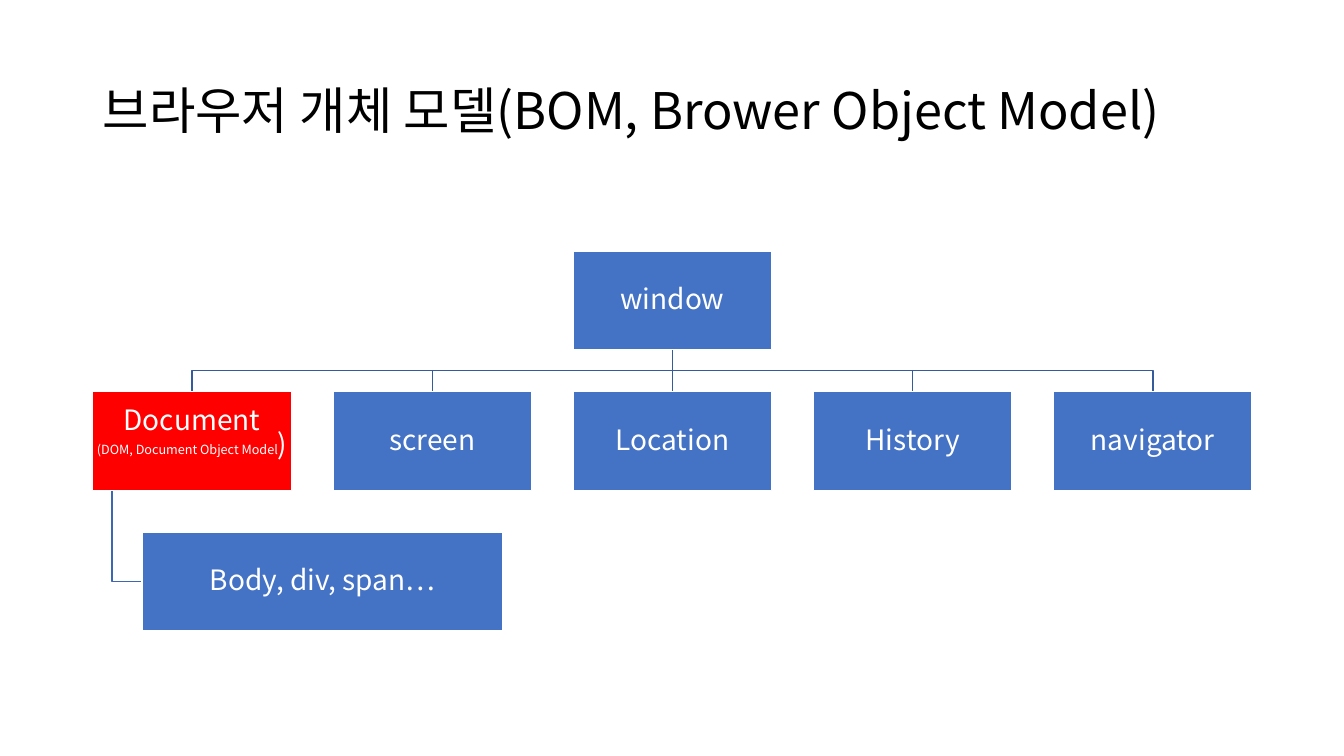
import pptx
import pptx.util
import pptx.dml.color
import pptx.enum.shapes
import pptx.enum.text
import pptx.oxml
import pptx.oxml.ns
from pptx.util import Inches

FONT = "Noto Sans CJK KR"
BLUE, RED, WHITE, LINE, SUBLINE = "4472C4", "FF0000", "FFFFFF", "365B9D", "3E67B2"
BOX_W, BOX_H = 1.97, 0.98
ROW_GAP = 0.415
ALIGN = pptx.enum.text.PP_ALIGN


def color(value):
    return pptx.dml.color.RGBColor.from_string(value)


def add_text(p, text, size=20, fill=WHITE, align=ALIGN.CENTER, spacing=0.9, after=0):
    p.alignment = align
    p.line_spacing = spacing
    p.space_after = pptx.util.Pt(after)
    r = p.add_run()
    r.text = text
    r.font.size = pptx.util.Pt(size)
    r.font.name = FONT
    r.font.color.rgb = color(fill)
    ea = pptx.oxml.parse_xml(
        '<a:ea %s typeface="%s"/>' % (pptx.oxml.ns.nsdecls("a"), FONT))
    r.font._element.append(ea)


def add_title(s, text, left, top, width, height):
    sp = s.shapes.title
    sp.left, sp.top, sp.width, sp.height = map(Inches, (left, top, width, height))
    tf = sp.text_frame
    tf.word_wrap = True
    tf.vertical_anchor = pptx.enum.text.MSO_ANCHOR.MIDDLE
    add_text(tf.paragraphs[0], text, size=36, fill="000000", align=ALIGN.LEFT)


def add_box(s, left, top, width=BOX_W, text=None, fill=BLUE):
    sp = s.shapes.add_shape(pptx.enum.shapes.MSO_SHAPE.RECTANGLE,
                            *map(Inches, (left, top, width, BOX_H)))
    sp.shadow.inherit = False
    sp.fill.solid()
    sp.fill.fore_color.rgb = color(fill)
    sp.line.color.rgb = color(WHITE)
    sp.line.width = pptx.util.Pt(1)
    tf = sp.text_frame
    tf.word_wrap = True
    tf.vertical_anchor = pptx.enum.text.MSO_ANCHOR.MIDDLE
    tf.margin_left = tf.margin_right = tf.margin_top = tf.margin_bottom = Inches(0.01)
    if text:
        add_text(tf.paragraphs[0], text)
    return tf


def add_link(s, points, line=LINE):
    """Straight connector for two points, open bent line for more."""
    pts = [(Inches(x), Inches(y)) for x, y in points]
    if len(pts) == 2:
        sp = s.shapes.add_connector(pptx.enum.shapes.MSO_CONNECTOR.STRAIGHT,
                                    *pts[0], *pts[1])
        sp._element.spPr.append(pptx.oxml.parse_xml(
            "<a:effectLst %s/>" % pptx.oxml.ns.nsdecls("a")))
    else:
        fb = s.shapes.build_freeform(*pts[0])
        fb.add_line_segments(pts[1:], close=False)
        sp = fb.convert_to_shape()
        sp.shadow.inherit = False
        sp.fill.background()
    sp.line.color.rgb = color(line)
    sp.line.width = pptx.util.Pt(1)


def add_tree(s, left, top, width):
    children = ["Document", "screen", "Location", "History", "navigator"]
    step = (width - BOX_W) / (len(children) - 1)
    center = left + width / 2
    bottom = top + BOX_H
    row = bottom + ROW_GAP
    sub_row = row + BOX_H + ROW_GAP
    bus = bottom + ROW_GAP / 2
    lefts = [left + i * step for i in range(len(children))]

    # Links from window to its children
    for i, x in enumerate(lefts):
        end = x + BOX_W / 2
        if i == len(children) // 2:
            add_link(s, [(center, bottom), (center, row)])
        else:
            add_link(s, [(center, bottom), (center, bus), (end, bus), (end, row)])

    # Link from Document to its elements
    stem, sub_left, middle = left + 0.19, left + 0.49, sub_row + BOX_H / 2
    add_link(s, [(stem, row + BOX_H), (stem, middle), (sub_left, middle)], SUBLINE)

    # Boxes
    add_box(s, center - BOX_W / 2, top, text="window")
    tf = add_box(s, left, row, fill=RED)
    tight = dict(spacing=pptx.util.Pt(10), after=7)
    add_text(tf.paragraphs[0], children[0], **tight)
    p = tf.add_paragraph()
    add_text(p, "(DOM, Document Object Model", size=9, **tight)
    add_text(p, ")", **tight)
    for x, name in zip(lefts[1:], children[1:]):
        add_box(s, x, row, text=name)
    add_box(s, sub_left, sub_row, width=3.58, text="Body, div, span…")


prs = pptx.Presentation()
prs.slide_width, prs.slide_height = Inches(13.33), Inches(7.5)
s = prs.slides.add_slide(prs.slide_layouts[5])
add_title(s, "브라우저 개체 모델(BOM, Brower Object Model)", 0.92, 0.4, 11.5, 1.45)
add_tree(s, 0.92, 2.49, 11.5)
prs.save("out.pptx")
